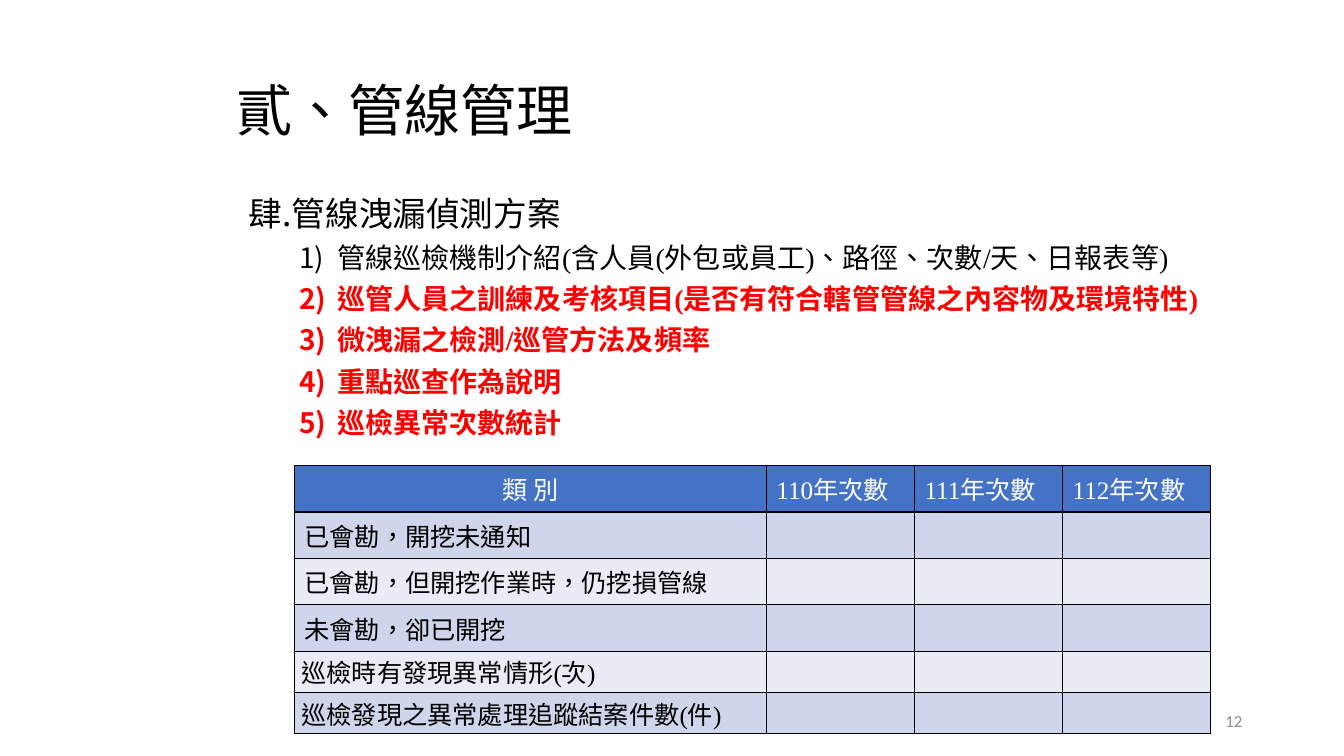
from dataclasses import dataclass

from lxml import etree
from pptx import Presentation
from pptx.dml.color import RGBColor
from pptx.enum.lang import MSO_LANGUAGE_ID
from pptx.enum.text import MSO_ANCHOR, PP_ALIGN
from pptx.oxml.ns import qn
from pptx.util import Inches, Pt

CHINESE = MSO_LANGUAGE_ID.TRADITIONAL_CHINESE
MIDDLE = MSO_ANCHOR.MIDDLE
LEFT, CENTER, RIGHT, JUSTIFY = PP_ALIGN.LEFT, PP_ALIGN.CENTER, PP_ALIGN.RIGHT, PP_ALIGN.JUSTIFY


@dataclass(frozen=True)
class Theme:
    serif: str = "Times New Roman"
    sans: str = "Calibri"
    black: str = "000000"
    white: str = "FFFFFF"
    red: str = "FF0000"
    gray: str = "8C8C8C"
    header: str = "4472C4"
    bands: tuple = ("CFD5EA", "E9EBF5")
    title_size: int = 40
    heading_size: int = 24
    item_size: int = 20
    table_size: int = 18
    number_size: int = 12


theme = Theme()


def style(para, size, color, name=theme.serif, bold=False):
    font = para.font
    font.size, font.name, font.bold = Pt(size), name, bold
    font.color.rgb = RGBColor.from_string(color)
    font.language_id = CHINESE


def number(para, scheme, start, margin, indent):
    properties = para._p.get_or_add_pPr()
    properties.set("marL", str(Inches(margin)))
    properties.set("indent", str(Inches(indent)))
    etree.SubElement(properties, qn("a:buFont"), typeface=theme.sans)
    etree.SubElement(properties, qn("a:buAutoNum"), type=scheme, startAt=str(start))


deck = Presentation()
deck.slide_width, deck.slide_height = Inches(13.33), Inches(7.5)
page = deck.slides.add_slide(deck.slide_layouts[6])

# Title
title = page.shapes.add_textbox(Inches(2.35), Inches(0.82), Inches(8.62), Inches(0.61))
title.fill.solid()
title.fill.fore_color.rgb = RGBColor.from_string(theme.white)
frame = title.text_frame
frame.word_wrap = True
frame.vertical_anchor = MIDDLE
frame.margin_left = frame.margin_right = frame.margin_top = frame.margin_bottom = 0
para = frame.paragraphs[0]
para.text = "貳、管線管理"
para.line_spacing = 0.9
style(para, theme.title_size, theme.black)

# Numbered heading and its items
body = page.shapes.add_textbox(Inches(2.37), Inches(1.66), Inches(10.15), Inches(3.6))
frame = body.text_frame
frame.word_wrap = True
heading = frame.paragraphs[0]
heading.text = "管線洩漏偵測方案"
heading.line_spacing = 1.5
number(heading, "ea1ChtPeriod", 4, 0.25, -0.25)
style(heading, theme.heading_size, theme.black)

items = [
    "管線巡檢機制介紹(含人員(外包或員工)、路徑、次數/天、日報表等)",
    "巡管人員之訓練及考核項目(是否有符合轄管管線之內容物及環境特性)",
    "微洩漏之檢測/巡管方法及頻率",
    "重點巡查作為說明",
    "巡檢異常次數統計",
]
for index, item in enumerate(items):
    para = frame.add_paragraph()
    para.text = item
    para.level = 1
    para.line_spacing = 0.9
    para.space_before = Pt(8)
    number(para, "arabicParenR", 1, 0.88, -0.38)
    important = index > 0
    style(para, theme.item_size, theme.red if important else theme.black, bold=important)

# Page number
box = page.shapes.add_textbox(Inches(9.42), Inches(6.95), Inches(3), Inches(0.4))
box.text_frame.word_wrap = True
box.text_frame.vertical_anchor = MIDDLE
para = box.text_frame.paragraphs[0]
para.text = "12"
para.alignment = RIGHT
style(para, theme.number_size, theme.gray, theme.sans)

# Table of yearly counts
header = ["類 別"] + [f"{year}年次數" for year in (110, 111, 112)]
categories = [
    "已會勘，開挖未通知",
    "已會勘，但開挖作業時，仍挖損管線",
    "未會勘，卻已開挖",
    "巡檢時有發現異常情形(次)",
    "巡檢發現之異常處理追蹤結案件數(件)",
]
rows = [header] + [[category, "", "", ""] for category in categories]
widths = [4.68] + [1.47] * 3
heights = [0.46] * 4 + [0.41] * 2
table = page.shapes.add_table(len(rows), len(widths), Inches(2.92), Inches(4.62),
                              Inches(sum(widths)), Inches(sum(heights))).table
for column, width in zip(table.columns, widths):
    column.width = Inches(width)
for row, height in zip(table.rows, heights):
    row.height = Inches(height)

for r, texts in enumerate(rows):
    for c, text in enumerate(texts):
        cell = table.cell(r, c)
        para = cell.text_frame.paragraphs[0]
        para.text = text
        para.alignment = CENTER if (r, c) == (0, 0) else LEFT
        cell.vertical_anchor = MIDDLE
        if r >= 4 and c == 0:
            para.alignment = JUSTIFY
            cell.margin_left = cell.margin_right = Inches(0.07)
            cell.margin_top = cell.margin_bottom = 0
        style(para, theme.table_size, theme.black if r else theme.white)

        # Borders come before the fill in the cell properties
        properties = cell._tc.get_or_add_tcPr()
        for side in ("a:lnL", "a:lnR", "a:lnT", "a:lnB"):
            line = etree.SubElement(properties, qn(side), w=str(Pt(1)))
            paint = etree.SubElement(line, qn("a:solidFill"))
            etree.SubElement(paint, qn("a:srgbClr"), val=theme.black)
        cell.fill.solid()
        color = theme.bands[(r - 1) % 2] if r else theme.header
        cell.fill.fore_color.rgb = RGBColor.from_string(color)

deck.save("out.pptx")
